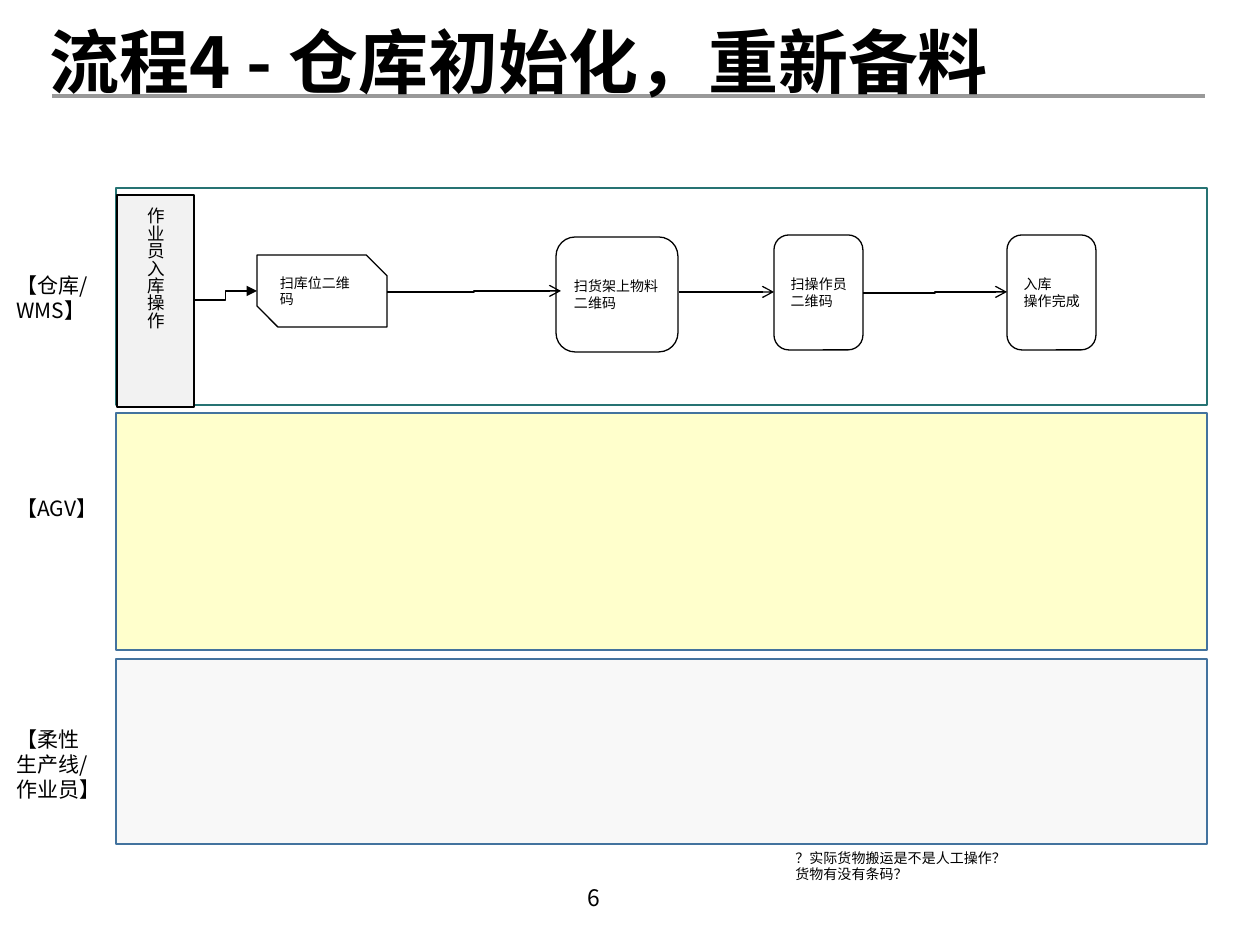
from lxml import etree
from pptx import Presentation
from pptx.dml.color import RGBColor
from pptx.enum.shapes import MSO_CONNECTOR as CONN, MSO_SHAPE as SHAPE
from pptx.enum.text import MSO_ANCHOR as ANCHOR, PP_ALIGN as ALIGN
from pptx.oxml.ns import qn
from pptx.util import Emu, Pt

SC, JP = "Noto Sans CJK SC", "Noto Sans CJK JP"
LINE_RATIO = 1.19


def px(n):
    return Emu(round(n * 914400 / 126))


def color(value):
    return RGBColor.from_string(value)


def write(sp, lines, size, font, anchor=ANCHOR.TOP, wrap=True, inset=True,
          bold=False, spacing=None):
    tf = sp.text_frame
    tf.word_wrap = wrap
    tf.vertical_anchor = anchor
    if not inset:
        tf.margin_left = tf.margin_top = tf.margin_right = tf.margin_bottom = 0
    for i, line in enumerate(lines):
        p = tf.paragraphs[0] if i == 0 else tf.add_paragraph()
        p.alignment = ALIGN.LEFT
        p.line_spacing = spacing or Pt(round(size * LINE_RATIO, 1))
        r = p.add_run()
        r.text = line
        r.font.size, r.font.bold, r.font.name = Pt(size), bold, font
        r.font.color.rgb = color("000000")
        ea = etree.SubElement(r.font._element, qn("a:ea"))
        ea.set("typeface", font)


def add_text(s, box, lines, size, font, **style):
    tb = s.shapes.add_textbox(*map(px, box))
    write(tb, lines, size, font, **style)


def add_box(s, box, fill, line, width, kind=SHAPE.RECTANGLE):
    sp = s.shapes.add_shape(kind, *map(px, box))
    sp.shadow.inherit = False
    if fill:
        sp.fill.solid()
        sp.fill.fore_color.rgb = color(fill)
    else:
        sp.fill.background()
    sp.line.color.rgb = color(line)
    sp.line.width = Pt(width)
    return sp


def add_line(s, kind, start, end, line, width, head=None):
    cn = s.shapes.add_connector(kind, *map(px, start + end))
    cn.line.color.rgb = color(line)
    cn.line.width = Pt(width)
    if head:
        etree.SubElement(cn.line._get_or_add_ln(), qn("a:tailEnd")).set("type", head)
    etree.SubElement(cn._element.spPr, qn("a:effectLst"))


def add_header(s, x, y, w, h):
    add_line(s, CONN.STRAIGHT, (x + 2, y + 83), (x + w + 7, y + 83), "999999", 2.25)
    add_text(s, (x, y, w, h), ["流程4 - 仓库初始化，重新备料"], 40, SC, bold=True,
             anchor=ANCHOR.MIDDLE, wrap=False, inset=False, spacing=1.1)


def add_lane(s, x, y, w, h, fill, line, label, label_box):
    add_box(s, (x, y, w, h), fill, line, 1)
    dx, dy, lw, lh = label_box
    add_text(s, (x + dx, y + dy, lw, lh), label, 12, JP)


def add_flow(s, x, y):
    # Operator column
    operator = add_box(s, (x + 1, y + 7, 77, 212), "F2F2F2", "000000", 0.75)
    write(operator, ["作业员入库操作"], 10, SC, anchor=ANCHOR.MIDDLE)
    operator.text_frame._txBody.bodyPr.set("vert", "eaVert")

    # Steps
    steps = [
        ((141, 67, 130, 72), ["扫库位二维码"], SHAPE.SNIP_2_DIAG_RECTANGLE),
        ((440, 49, 122, 115), ["扫货架上物料", "二维码"], SHAPE.ROUNDED_RECTANGLE),
        ((658, 47, 89, 115), ["扫操作员", "二维码"], SHAPE.ROUNDED_RECTANGLE),
        ((891, 47, 89, 115), ["入库", "操作完成"], SHAPE.ROUNDED_RECTANGLE),
    ]
    for (dx, dy, w, h), lines, kind in steps:
        step = add_box(s, (x + dx, y + dy, w, h), "FFFFFF", "000000", 0.75, kind)
        if kind == SHAPE.SNIP_2_DIAG_RECTANGLE:
            step.adjustments[0], step.adjustments[1] = 0, 0.29
        write(step, lines, 8, SC, anchor=ANCHOR.MIDDLE, wrap=len(lines) == 1)

    # Arrows between steps
    arrows = [
        (78, 112, 141, 103, "triangle"),
        (271, 104, 445, 103, "arrow"),
        (563, 104, 658, 104, "arrow"),
        (747, 105, 891, 104, "arrow"),
    ]
    for x1, y1, x2, y2, head in arrows:
        add_line(s, CONN.ELBOW, (x + x1, y + y1), (x + x2, y + y2),
                 "000000", 0.75, head)


def main():
    prs = Presentation()
    prs.slide_width, prs.slide_height = px(1260), px(945)
    s = prs.slides.add_slide(prs.slide_layouts[6])

    add_header(s, 50, 13, 1148, 86)

    # Swimlanes with their labels
    lane_x, lane_w, flow_y = 116, 1091, 188
    lanes = [
        (413, 237, "FFFFCC", "43739E", ["【AGV】"], (-112, 77, 112, 38)),
        (659, 185, "F8F8F8", "43739E", ["【柔性", "生产线/", "作业员】"],
         (-112, 62, 110, 89)),
        (flow_y, 217, None, "267373", ["【仓库/", "WMS】"], (-112, 79, 97, 63)),
    ]
    for y, h, fill, line, label, label_box in lanes:
        add_lane(s, lane_x, y, lane_w, h, fill, line, label, label_box)

    add_flow(s, lane_x, flow_y)

    # Note and page number
    add_text(s, (783, 843, 234, 63),
             ["？实际货物搬运是不是人工操作？货物有没有条码？"], 8, SC)
    add_text(s, (588, 876, 79, 42), ["6"], 13, JP,
             anchor=ANCHOR.MIDDLE, inset=False)

    prs.save("out.pptx")


if __name__ == "__main__":
    main()
